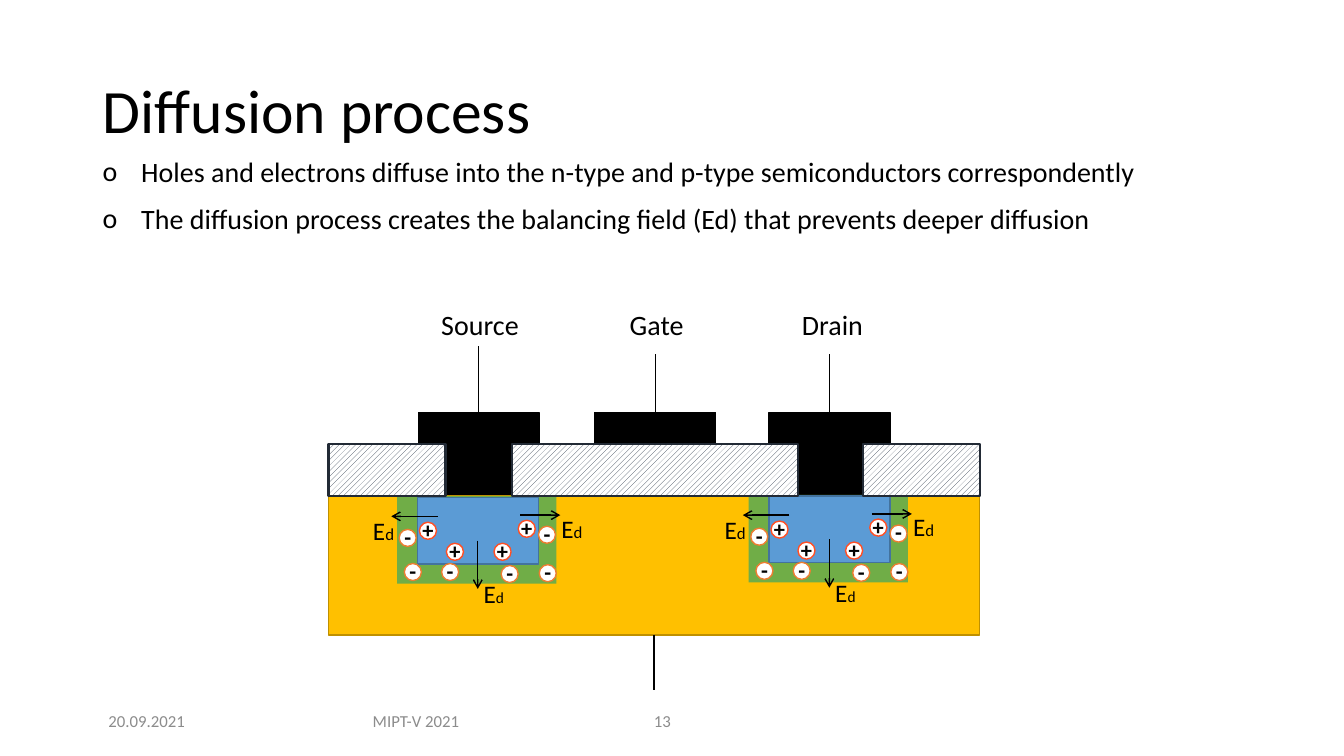
"""Build the slide on the diffusion process in a field-effect transistor."""
import pptx
import pptx.dml.color
import pptx.enum.dml
import pptx.enum.shapes
import pptx.enum.text
import pptx.oxml
import pptx.oxml.ns
import pptx.util

Cm = pptx.util.Cm
Pt = pptx.util.Pt
RGBColor = pptx.dml.color.RGBColor
Align = pptx.enum.text.PP_ALIGN
Anchor = pptx.enum.text.MSO_ANCHOR
Shape = pptx.enum.shapes.MSO_SHAPE

BLACK = RGBColor(0x00, 0x00, 0x00)
WHITE = RGBColor(0xFF, 0xFF, 0xFF)
GREY = RGBColor(0x8C, 0x8C, 0x8C)
GOLD = RGBColor(0xFF, 0xC0, 0x00)
DARK_GOLD = RGBColor(0xBF, 0x90, 0x00)
GREEN = RGBColor(0x70, 0xAD, 0x47)
BLUE = RGBColor(0x5B, 0x9B, 0xD5)
DARK_BLUE = RGBColor(0x43, 0x73, 0x9E)
HATCH = RGBColor(0x33, 0x3F, 0x50)
HATCH_EDGE = RGBColor(0x22, 0x2A, 0x35)
HOLE_RED = RGBColor(0xFF, 0x4F, 0x25)
ELECTRON_ORANGE = RGBColor(0xED, 0x7D, 0x31)

ELECTRODE_WIDTH, ELECTRODE_TOP, ELECTRODE_HEIGHT = 3.05, 10.39, 2.08
CHARGE_SIZE = 0.43
ELECTRODES = [("Source", 10.54, 8.71, 10.87, 2.46),
              ("Gate", 14.99, 8.92, 15.62, 1.91),
              ("Drain", 19.38, 8.92, 19.96, 2.08)]
WELLS = [(18.87, 12.47), (10.01, 12.5)]
HOLES = [(0.56, 0.66), (1.24, 1.19), (2.44, 1.19), (3.05, 0.61)]
ELECTRONS = [(0.05, 0.84), (0.18, 1.7), (1.12, 1.7),
             (2.62, 1.75), (3.56, 0.76), (3.58, 1.73)]
FIELD_ARROWS = [(2.03, 1.12, 2.03, 2.34), (1.02, 0.51, -0.15, 0.51),
                (3.1, 0.48, 4.11, 0.48)]
FIELD_LABELS = [(3.89, 0.3, 1.09, 12), (1.93, 1.96, 1.04, 11),
                (-0.86, 0.36, 1.09, 12)]
OXIDES = [(8.28, 2.95), (12.9, 7.21), (21.74, 2.95)]
BULLETS = [
    ("Holes and electrons diffuse into the n-type and p-type semiconductors "
     "correspondently", 10),
    ("The diffusion process creates the balancing field (Ed) that prevents "
     "deeper diffusion", 12),
]
FOOTERS = [("20.09.2021", 2.34, 2.72, Align.CENTER),
           ("MIPT-V 2021", 8.48, 4.01, Align.CENTER),
           ("13", 16.23, 2.01, Align.LEFT)]


class SlideBuilder:
    """Hold the text style and the current slide."""

    font = "Calibri"

    def __init__(self, slide):
        self.slide = slide

    def run(self, paragraph, text, size, color=BLACK, bold=False):
        run = paragraph.add_run()
        run.text = text
        run.font.name = self.font
        run.font.size = Pt(size)
        run.font.bold = bold
        run.font.color.rgb = color

    def title(self, text, left, top, width, height):
        title = self.slide.shapes.title
        title.left, title.top = Cm(left), Cm(top)
        title.width, title.height = Cm(width), Cm(height)
        title.text_frame.vertical_anchor = Anchor.MIDDLE
        paragraph = title.text_frame.paragraphs[0]
        paragraph.alignment = Align.LEFT
        paragraph.line_spacing = 0.9
        self.run(paragraph, text, 44)

    def bullets(self, items, left, top, width, height):
        box = self.slide.shapes.add_textbox(Cm(left), Cm(top), Cm(width), Cm(height))
        frame = box.text_frame
        frame.word_wrap = True
        for index, (text, space_before) in enumerate(items):
            paragraph = frame.add_paragraph() if index else frame.paragraphs[0]
            paragraph.line_spacing = 0.9
            paragraph.space_before = Pt(space_before)
            self.run(paragraph, text, 20)
            properties = paragraph._p.get_or_add_pPr()
            properties.set("marL", str(Cm(0.97)))
            properties.set("indent", str(-Cm(0.97)))
            for tag, key, value in (("buFont", "typeface", self.font),
                                    ("buChar", "char", "o")):
                bullet = pptx.oxml.parse_xml(
                    f'<a:{tag} {pptx.oxml.ns.nsdecls("a")} {key}="{value}"/>')
                properties.append(bullet)

    def label(self, parts, left, top, width, height):
        box = self.slide.shapes.add_textbox(Cm(left), Cm(top), Cm(width), Cm(height))
        frame = box.text_frame
        frame.word_wrap = False
        frame.auto_size = pptx.enum.text.MSO_AUTO_SIZE.SHAPE_TO_FIT_TEXT
        for text, size in parts:
            self.run(frame.paragraphs[0], text, size)

    def footer(self, text, left, width, alignment):
        box = self.slide.shapes.add_textbox(Cm(left), Cm(17.65), Cm(width), Cm(1.02))
        frame = box.text_frame
        frame.word_wrap = True
        frame.vertical_anchor = Anchor.MIDDLE
        frame.paragraphs[0].alignment = alignment
        self.run(frame.paragraphs[0], text, 12, GREY)

    def shape(self, left, top, width, height, fill, line=None, weight=1,
              preset=Shape.RECTANGLE):
        shape = self.slide.shapes.add_shape(
            preset, Cm(left), Cm(top), Cm(width), Cm(height))
        shape.shadow.inherit = False
        shape.fill.solid()
        shape.fill.fore_color.rgb = fill
        if line is None:
            shape.line.fill.background()
        else:
            shape.line.color.rgb = line
            shape.line.width = Pt(weight)
        return shape

    def oxide(self, left, width):
        oxide = self.shape(left, 11.2, width, 1.3, WHITE, HATCH_EDGE, 1.5)
        oxide.fill.patterned()
        oxide.fill.pattern = pptx.enum.dml.MSO_PATTERN.WIDE_UPWARD_DIAGONAL
        oxide.fill.fore_color.rgb = HATCH
        oxide.fill.back_color.rgb = WHITE

    def charge(self, sign, left, top, line, bottom_inset):
        charge = self.shape(left, top, CHARGE_SIZE, CHARGE_SIZE, WHITE, line,
                            preset=Shape.OVAL)
        frame = charge.text_frame
        frame.word_wrap = False
        frame.vertical_anchor = Anchor.MIDDLE
        frame.margin_left = frame.margin_right = frame.margin_top = 0
        frame.margin_bottom = Cm(bottom_inset)
        frame.paragraphs[0].alignment = Align.CENTER
        self.run(frame.paragraphs[0], sign, 16, bold=True)

    def line(self, start_x, start_y, end_x, end_y, arrow=False):
        connector = self.slide.shapes.add_connector(
            pptx.enum.shapes.MSO_CONNECTOR.STRAIGHT,
            Cm(start_x), Cm(start_y), Cm(end_x), Cm(end_y))
        connector.line.color.rgb = BLACK
        connector.line.width = Pt(1)
        namespace = pptx.oxml.ns.nsdecls("a")
        properties = connector._element.spPr
        if arrow:
            outline = properties.find(pptx.oxml.ns.qn("a:ln"))
            outline.append(pptx.oxml.parse_xml(
                f'<a:tailEnd {namespace} type="arrow"/>'))
        properties.append(pptx.oxml.parse_xml(f"<a:effectLst {namespace}/>"))

    def well(self, left, top):
        self.shape(left, top, 4.01, 2.21, GREEN)
        self.shape(left + 0.51, top + 0.03, 3.05, 1.68, BLUE, DARK_BLUE)
        for x, y in HOLES:
            self.charge("+", left + x, top + y, HOLE_RED, 0.05)
        for x, y in ELECTRONS:
            self.charge("-", left + x, top + y, ELECTRON_ORANGE, 0.08)
        for start_x, start_y, end_x, end_y in FIELD_ARROWS:
            self.line(left + start_x, top + start_y, left + end_x, top + end_y, True)
        for x, y, width, size in FIELD_LABELS:
            self.label([("E", 18), ("d", size)], left + x, top + y, width, 1.02)


presentation = pptx.Presentation()
presentation.slide_width, presentation.slide_height = Cm(33.87), Cm(19.05)
builder = SlideBuilder(presentation.slides.add_slide(presentation.slide_layouts[5]))

builder.title("Diffusion process", 2.34, 1.02, 29.21, 3.68)
builder.bullets(BULLETS, 2.34, 3.86, 28.35, 3.02)
builder.shape(8.28, 12.47, 16.41, 3.53, GOLD, DARK_GOLD)
for name, left, lead_top, label_left, label_width in ELECTRODES:
    builder.shape(left, ELECTRODE_TOP, ELECTRODE_WIDTH, ELECTRODE_HEIGHT, BLACK, BLACK)
    lead = left + ELECTRODE_WIDTH / 2
    builder.line(lead, ELECTRODE_TOP, lead, lead_top)
    builder.label([(name, 20)], label_left, 7.62, label_width, 1.12)
builder.line(16.48, 16, 16.48, 17.4)
for left, top in WELLS:
    builder.well(left, top)
for left, width in OXIDES:
    builder.oxide(left, width)
for text, left, width, alignment in FOOTERS:
    builder.footer(text, left, width, alignment)

presentation.save("out.pptx")
